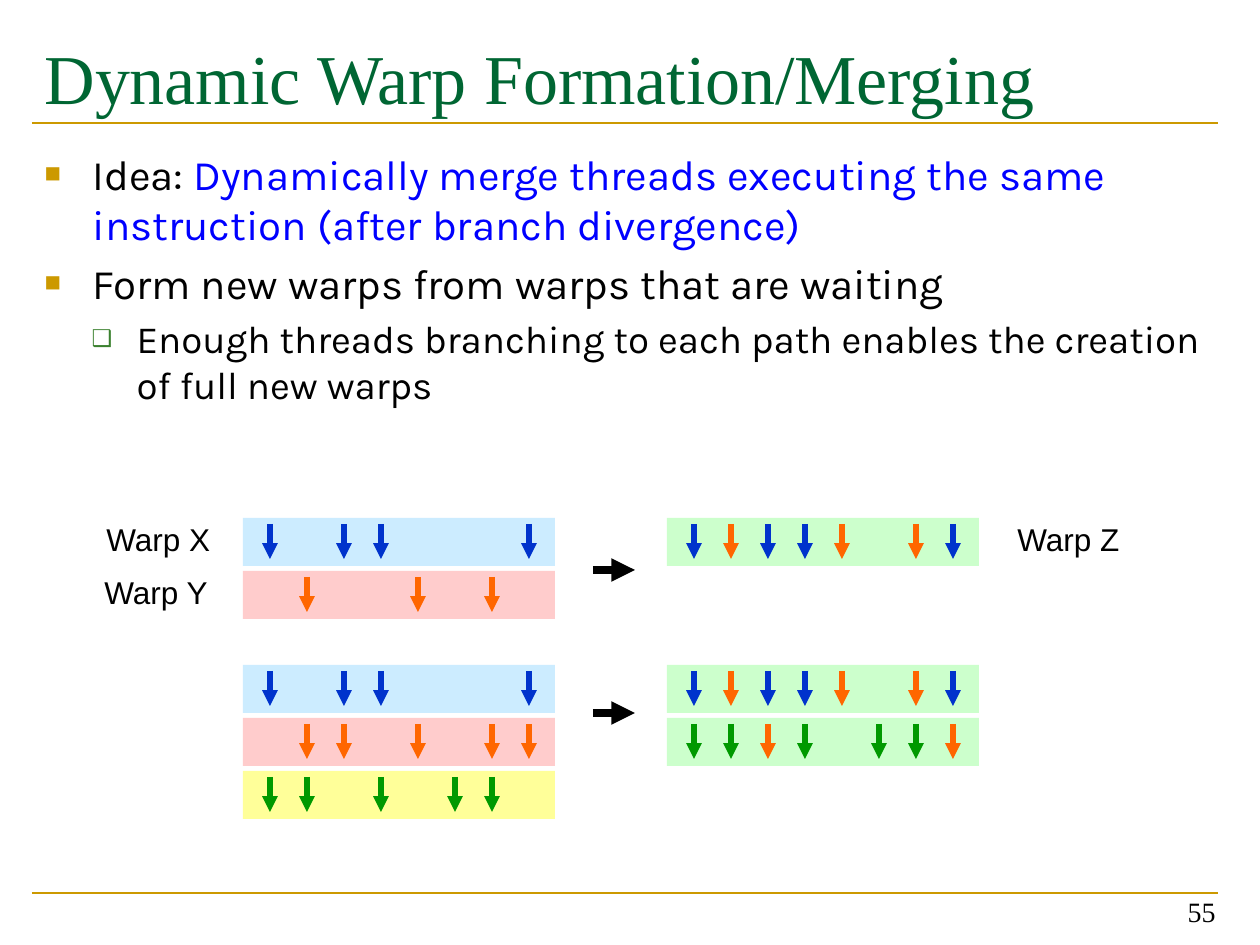
import pptx
import pptx.util
import pptx.dml.color
import pptx.enum.shapes
import pptx.enum.text
import pptx.oxml
from lxml import etree

RGBColor = pptx.dml.color.RGBColor
ALIGN = pptx.enum.text.PP_ALIGN
ANCHOR = pptx.enum.text.MSO_ANCHOR

PX = 914400 / 126
GOLD = RGBColor(0xCC, 0x99, 0x00)
TITLE_GREEN = RGBColor(0x00, 0x66, 0x33)
BULLET_GREEN = RGBColor(0x3B, 0x81, 0x2F)
BLACK = RGBColor(0x00, 0x00, 0x00)
IDEA_BLUE = RGBColor(0x00, 0x00, 0xFF)
LIGHT_BLUE = RGBColor(0xCC, 0xEC, 0xFF)
LIGHT_RED = RGBColor(0xFF, 0xCC, 0xCC)
LIGHT_GREEN = RGBColor(0xCC, 0xFF, 0xCC)
LIGHT_YELLOW = RGBColor(0xFF, 0xFF, 0x99)
THREAD_COLORS = {
    "B": RGBColor(0x00, 0x33, 0xCC),
    "O": RGBColor(0xFF, 0x66, 0x00),
    "G": RGBColor(0x00, 0x99, 0x00),
}


def box(*lengths):
    return [pptx.util.Emu(round(length * PX)) for length in lengths]


def add_line(x1, y1, x2, y2, color, width, arrow=True):
    line = slide.shapes.add_connector(
        pptx.enum.shapes.MSO_CONNECTOR.STRAIGHT, *box(x1, y1, x2, y2))
    line.line.color.rgb = color
    line.line.width = pptx.util.Pt(width)
    if arrow:
        tail = etree.SubElement(line.line._get_or_add_ln(), pptx.oxml.ns.qn("a:tailEnd"))
        tail.set("type", "triangle")
    etree.SubElement(line._element.spPr, pptx.oxml.ns.qn("a:effectLst"))


presentation = pptx.Presentation()
presentation.slide_width, presentation.slide_height = box(1260, 945)
slide = presentation.slides.add_slide(presentation.slide_layouts[1])

for y in (123, 893):
    add_line(32, y, 1218, y, GOLD, 1.5, arrow=False)

title = slide.shapes.title
title.left, title.top, title.width, title.height = box(32, 21, 1187, 147)
frame = title.text_frame
frame.auto_size = pptx.enum.text.MSO_AUTO_SIZE.NONE
frame.vertical_anchor = ANCHOR.TOP
frame.margin_top = box(14)[0]
paragraph = frame.paragraphs[0]
paragraph.alignment = ALIGN.LEFT
run = paragraph.add_run()
run.text = "Dynamic Warp Formation/Merging"
run.font.name = "Times New Roman"
run.font.size = pptx.util.Pt(40)
run.font.color.rgb = TITLE_GREEN

body = slide.placeholders[1]
body.left, body.top, body.width, body.height = box(32, 137, 1187, 716)
frame = body.text_frame
frame.auto_size = pptx.enum.text.MSO_AUTO_SIZE.NONE
frame.margin_top = box(11)[0]
bullets = [
    (0, 24, "■", 65, GOLD, 48, 48, [
        ("Idea: ", BLACK),
        ("Dynamically merge threads executing the same instruction "
         "(after branch divergence)", IDEA_BLUE)]),
    (0, 24, "■", 65, GOLD, 48, 48, [
        ("Form new warps from warps that are waiting", BLACK)]),
    (1, 22, "❑", 60, BULLET_GREEN, 92, 45, [
        ("Enough threads branching to each path enables the creation "
         "of full new warps", BLACK)]),
]
for index, (level, size, mark, percent, color, margin, hanging, runs) in enumerate(bullets):
    paragraph = frame.add_paragraph() if index else frame.paragraphs[0]
    paragraph.level = level
    paragraph.space_before = pptx.util.Pt(size * 0.2 if index else 0)
    properties = paragraph._p.get_or_add_pPr()
    margin, hanging = box(margin, hanging)
    properties.set("marL", str(margin))
    properties.set("indent", str(-hanging))
    bullet_color = etree.SubElement(properties, pptx.oxml.ns.qn("a:buClr"))
    etree.SubElement(bullet_color, pptx.oxml.ns.qn("a:srgbClr")).set("val", str(color))
    etree.SubElement(properties, pptx.oxml.ns.qn("a:buSzPct")).set("val", str(percent * 1000))
    etree.SubElement(properties, pptx.oxml.ns.qn("a:buChar")).set("char", mark)
    for text, text_color in runs:
        run = paragraph.add_run()
        run.text = text
        run.font.name = "Karla"
        run.font.size = pptx.util.Pt(size)
        run.font.color.rgb = text_color

LEFT, RIGHT = 243, 667
FIRST_GROUP, SECOND_GROUP = 518, 665
ROW_PITCH, LANE_PITCH = 53, 37
warps = [
    (LEFT, FIRST_GROUP, 0, LIGHT_BLUE, "B.BB...B"),
    (LEFT, FIRST_GROUP, 1, LIGHT_RED, ".O..O.O."),
    (RIGHT, FIRST_GROUP, 0, LIGHT_GREEN, "BOBBO.OB"),
    (LEFT, SECOND_GROUP, 0, LIGHT_BLUE, "B.BB...B"),
    (LEFT, SECOND_GROUP, 1, LIGHT_RED, ".OO.O.OO"),
    (LEFT, SECOND_GROUP, 2, LIGHT_YELLOW, "GG.G.GG."),
    (RIGHT, SECOND_GROUP, 0, LIGHT_GREEN, "BOBBO.OB"),
    (RIGHT, SECOND_GROUP, 1, LIGHT_GREEN, "GGOG.GGO"),
]
for left, group_top, row, fill, threads in warps:
    top = group_top + row * ROW_PITCH
    warp = slide.shapes.add_shape(
        pptx.enum.shapes.MSO_SHAPE.RECTANGLE, *box(left, top, 312, 48))
    warp.shadow.inherit = False
    warp.fill.solid()
    warp.fill.fore_color.rgb = fill
    warp.line.fill.background()
    for lane, thread in enumerate(threads):
        if thread in THREAD_COLORS:
            x = left + 27 + lane * LANE_PITCH
            add_line(x, top + 6, x, top + 41, THREAD_COLORS[thread], 3)

for y in (570, 713):
    add_line(593, y, 635, y, BLACK, 4.5)

labels = [
    ("Warp X", (94, 514, 130, 50), "Arial", 18, ALIGN.LEFT, ANCHOR.TOP),
    ("Warp Y", (92, 567, 130, 50), "Arial", 18, ALIGN.LEFT, ANCHOR.TOP),
    ("Warp Z", (1005, 514, 129, 50), "Arial", 18, ALIGN.LEFT, ANCHOR.TOP),
    ("55", (934, 871, 294, 63), "Times New Roman", 16, ALIGN.RIGHT, ANCHOR.BOTTOM),
]
for text, place, font, size, alignment, anchor in labels:
    label = slide.shapes.add_textbox(*box(*place))
    label.text_frame.vertical_anchor = anchor
    label.text_frame.word_wrap = alignment == ALIGN.RIGHT
    paragraph = label.text_frame.paragraphs[0]
    paragraph.alignment = alignment
    run = paragraph.add_run()
    run.text = text
    run.font.name = font
    run.font.size = pptx.util.Pt(size)
    run.font.color.rgb = BLACK

presentation.save("out.pptx")
